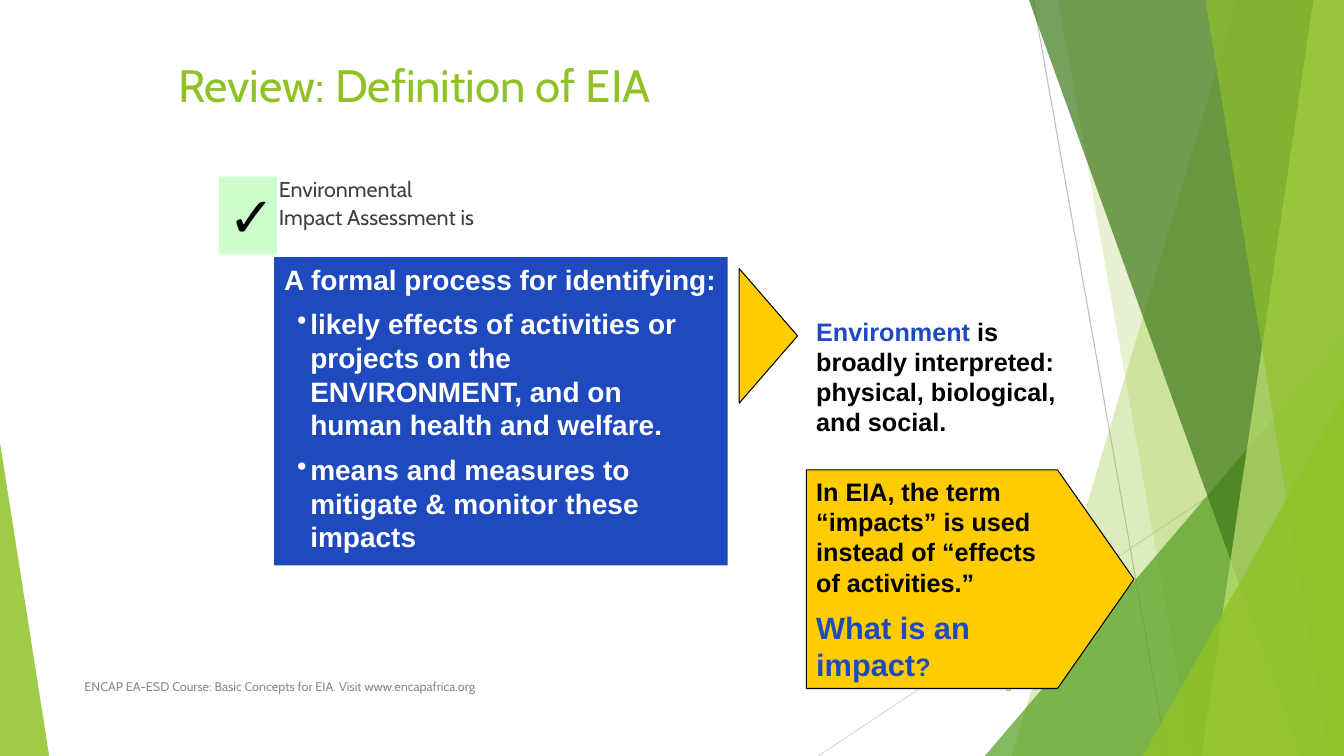
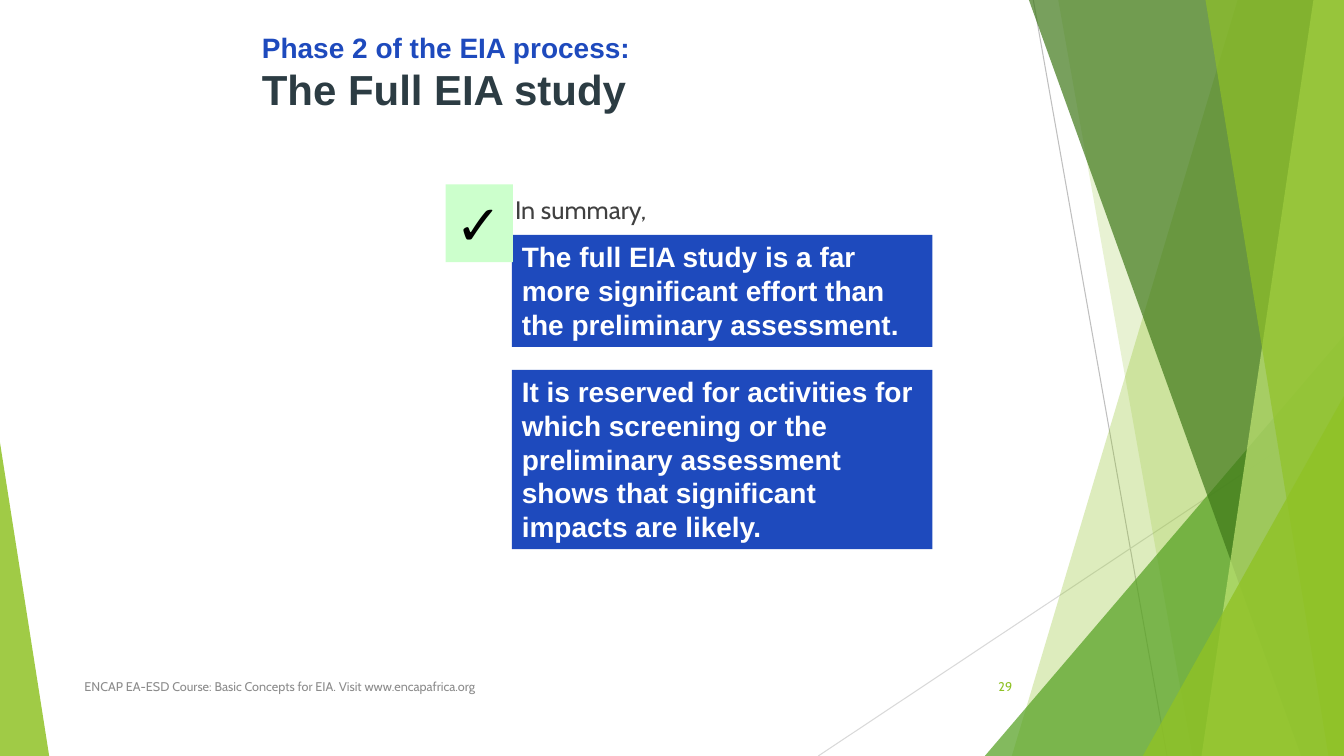
import dataclasses

import lxml.etree
import pptx
import pptx.dml.color
import pptx.enum.shapes
import pptx.enum.text
import pptx.oxml.ns
import pptx.util

Cm = pptx.util.Cm
Pt = pptx.util.Pt
Shape = pptx.enum.shapes.MSO_SHAPE
Anchor = pptx.enum.text.MSO_ANCHOR
Align = pptx.enum.text.PP_ALIGN
qn = pptx.oxml.ns.qn


@dataclasses.dataclass(frozen=True)
class Theme:
    lime: str = "90C226"
    leaf: str = "54A021"
    forest: str = "3F7819"
    pale: str = "C0E474"
    blue: str = "1E4ABD"
    gold: str = "FFCC00"
    mint: str = "CCFFCC"
    black: str = "000000"
    white: str = "FFFFFF"
    slate: str = "2C3C43"
    body: str = "404040"
    muted: str = "8C8C8C"
    rule_dark: str = "BFBFBF"
    rule_light: str = "D9D9D9"
    heading_font: str = "Cabin"
    strong_font: str = "Arial"
    symbol_font: str = "DejaVu Sans"
    title: float = 32.4
    study: float = 30
    check: float = 40
    question: float = 22
    panel: float = 20
    note: float = 18
    intro: float = 15.3
    footer: float = 9
    gap: float = 8


@dataclasses.dataclass(frozen=True)
class Box:
    left: float
    top: float
    width: float
    height: float

    def inner(self, left, top, width, height):
        return Box(self.left + left, self.top + top, width, height)

    def lengths(self):
        return [Cm(value) for value in dataclasses.astuple(self)]


THEME = Theme()
PAGE = Box(0, 0, 33.87, 19.05)


def plain(text, size, color):
    return text, color, {"name": THEME.heading_font, "size": Pt(size), "bold": False}


def strong(text, size, color):
    return text, color, {"name": THEME.strong_font, "size": Pt(size), "bold": True}


def rgb(color):
    return pptx.dml.color.RGBColor.from_string(color)


def add_bullet(para):
    properties = para._p.get_or_add_pPr()
    properties.set("marL", str(Cm(0.66)))
    properties.set("indent", str(Cm(-0.33)))
    lxml.etree.SubElement(properties, qn("a:buChar")).set("char", "•")


def write(shape, paragraphs, anchor=Anchor.TOP, align=Align.LEFT, bullets_from=None, line_spacing=None):
    frame = shape.text_frame
    frame.word_wrap = True
    frame.vertical_anchor = anchor
    for index, spans in enumerate(paragraphs):
        para = frame.paragraphs[0] if index == 0 else frame.add_paragraph()
        layout = {"alignment": align, "line_spacing": line_spacing}
        if index < len(paragraphs) - 1:
            layout["space_after"] = Pt(THEME.gap)
        for name, value in layout.items():
            setattr(para, name, value)
        if bullets_from is not None and index >= bullets_from:
            add_bullet(para)
        for text, color, formats in spans:
            for number, line in enumerate(text.split("\n")):
                if number:
                    para.add_line_break()
                if not line:
                    continue
                span = para.add_run()
                span.text = line
                span.font.color.rgb = rgb(color)
                for name, value in formats.items():
                    setattr(span.font, name, value)
    return frame


def paint(shape, fill, line=None, alpha=None):
    shape.shadow.inherit = False
    shape.fill.solid()
    shape.fill.fore_color.rgb = rgb(fill)
    if line:
        shape.line.color.rgb = rgb(line)
        shape.line.width = Pt(0.75)
    else:
        shape.line.fill.background()
    if alpha:
        color = shape._element.spPr.find(qn("a:solidFill"))[0]
        lxml.etree.SubElement(color, qn("a:alpha")).set("val", str(alpha * 1000))


def add_text(page, box, paragraphs, **options):
    return write(page.shapes.add_textbox(*box.lengths()), paragraphs, **options)


def add_panel(page, box, fill, paragraphs, **options):
    panel = page.shapes.add_shape(Shape.RECTANGLE, *box.lengths())
    paint(panel, fill)
    write(panel, paragraphs, **options)


def add_pointer(page, box, head):
    pointer = page.shapes.add_shape(Shape.PENTAGON, *box.lengths())
    pointer.adjustments[0] = head
    paint(pointer, THEME.gold, THEME.black)
    return pointer


def add_rule(page, start, end, color):
    rule = page.shapes.add_connector(
        pptx.enum.shapes.MSO_CONNECTOR.STRAIGHT, *[Cm(value) for value in start + end]
    )
    rule.line.color.rgb = rgb(color)
    rule.line.width = Pt(0.75)
    lxml.etree.SubElement(rule._element.spPr, qn("a:effectLst"))


def add_band(page, box, top_left, bottom_left, color, alpha):
    points = [
        (Cm(box.left + x), Cm(box.top + y))
        for x, y in (
            (top_left, 0),
            (box.width, 0),
            (box.width, box.height),
            (bottom_left, box.height),
        )
    ]
    builder = page.shapes.build_freeform(*points[0], scale=1.0)
    builder.add_line_segments(points[1:], close=True)
    paint(builder.convert_to_shape(), color, alpha=alpha)


def add_wedge(page, box, left, width, height, apex, color, alpha):
    place = box.inner(left, box.height - height, width, height)
    wedge = page.shapes.add_shape(Shape.ISOSCELES_TRIANGLE, *place.lengths())
    wedge.adjustments[0] = apex
    paint(wedge, color, alpha=alpha)


def add_backdrop(page, box):
    add_rule(page, (26.04, 0), (29.41, box.height), THEME.rule_dark)
    add_rule(page, (box.width, 10.24), (20.62, box.height), THEME.rule_light)
    for add_facet, *values in (
        (add_band, 31.19, 25.5, THEME.lime, 30),
        (add_band, 26.67, 30.05, THEME.lime, 20),
        (add_wedge, 24.82, 9.05, 10.59, 1, THEME.leaf, 72),
        (add_band, 25.93, 32.79, THEME.forest, 70),
        (add_band, 33.1, 30.28, THEME.pale, 70),
        (add_band, 30.38, 33.48, THEME.lime, 65),
        (add_wedge, 28.8, 5.07, 9.07, 1, THEME.lime, 80),
        (add_wedge, 0, 1.24, 7.9, 0, THEME.lime, 85),
    ):
        add_facet(page, box, *values)


def add_footer(page, box, number):
    course = "ENCAP EA-ESD Course: Basic Concepts for EIA. Visit www.encapafrica.org"
    add_text(page, box.inner(0, 0, 17.5, box.height),
             [[plain(course, THEME.footer, THEME.muted)]], anchor=Anchor.MIDDLE)
    add_text(page, box.inner(box.width - 1.91, 0, 1.91, box.height),
             [[plain(number, THEME.footer, THEME.lime)]], anchor=Anchor.MIDDLE, align=Align.RIGHT)


def add_checked_intro(page, box, text, size, text_shift, **options):
    check = "✓", THEME.black, {"name": THEME.symbol_font, "size": Pt(THEME.check), "bold": True}
    add_panel(page, box, THEME.mint, [[check]])
    add_text(page, box.inner(box.width - 0.2, text_shift, 8, 1.7),
             [[plain(text, size, THEME.body)]], **options)


def add_process(page, box):
    lines = (
        "A formal process for identifying:",
        "likely effects of activities or projects on the ENVIRONMENT, and on human health and welfare.",
        "means and measures to mitigate & monitor these impacts",
    )
    add_panel(page, box, THEME.blue,
              [[strong(line, THEME.panel, THEME.white)] for line in lines], bullets_from=1)


def add_terms(page, box):
    add_pointer(page, box.inner(0, 0, 1.47, 3.39), 1)
    add_text(page, box.inner(1.69, 1.07, 6.78, 3.2), [[
        strong("Environment ", THEME.note, THEME.blue),
        strong("is broadly interpreted: physical, biological, and social.", THEME.note, THEME.black),
    ]])
    pointer = add_pointer(page, box.inner(1.69, 5.07, 8.26, 5.51), 0.35)
    frame = write(pointer, [
        [strong("In EIA, the term “impacts” is used instead of “effects of activities.”",
                THEME.note, THEME.black)],
        [strong("What is an impact", THEME.question, THEME.blue),
         strong("?", THEME.note, THEME.blue)],
    ], anchor=Anchor.MIDDLE)
    frame.margin_right = Cm(1.3)


def add_summary(page, box):
    top = 0
    for text, height in (
        ("The full EIA study is a far more significant effort than the preliminary assessment.", 2.82),
        ("It is reserved for activities for which screening or the preliminary assessment "
         "shows that significant impacts are likely.", 4.52),
    ):
        add_panel(page, box.inner(0, top, box.width, height), THEME.blue,
                  [[strong(text, THEME.panel, THEME.white)]])
        top += height + 0.58


def add_definition_page(page, box):
    add_text(page, box.inner(4.24, 1.27, 21.59, 1.7),
             [[plain("Review: Definition of EIA", THEME.title, THEME.lime)]], anchor=Anchor.MIDDLE)
    add_process(page, box.inner(6.91, 6.48, 11.43, 7.77))
    add_checked_intro(page, box.inner(5.51, 4.45, 1.47, 1.96),
                      "Environmental\nImpact Assessment is", THEME.intro, -0.2, line_spacing=1.1)
    add_terms(page, box.inner(18.63, 6.77, 9.95, 10.58))


def add_study_page(page, box):
    add_summary(page, box.inner(12.9, 5.92, 10.6, 7.92))
    add_checked_intro(page, box.inner(11.23, 4.65, 1.7, 1.96), "In summary,", THEME.note, 0.13)
    add_text(page, box.inner(6.35, 0.64, 13.97, 2.39), [[
        strong("Phase 2 of the EIA process:\n", THEME.panel, THEME.blue),
        strong("The Full EIA study", THEME.study, THEME.slate),
    ]])


def main():
    deck = pptx.Presentation()
    deck.slide_width = Cm(PAGE.width)
    deck.slide_height = Cm(PAGE.height)
    for add_content, number in ((add_definition_page, "5"), (add_study_page, "29")):
        page = deck.slides.add_slide(deck.slide_layouts[6])
        add_backdrop(page, PAGE)
        add_footer(page, PAGE.inner(1.88, 16.79, 23.88, 1.02), number)
        add_content(page, PAGE)
    deck.save("out.pptx")


if __name__ == "__main__":
    main()
